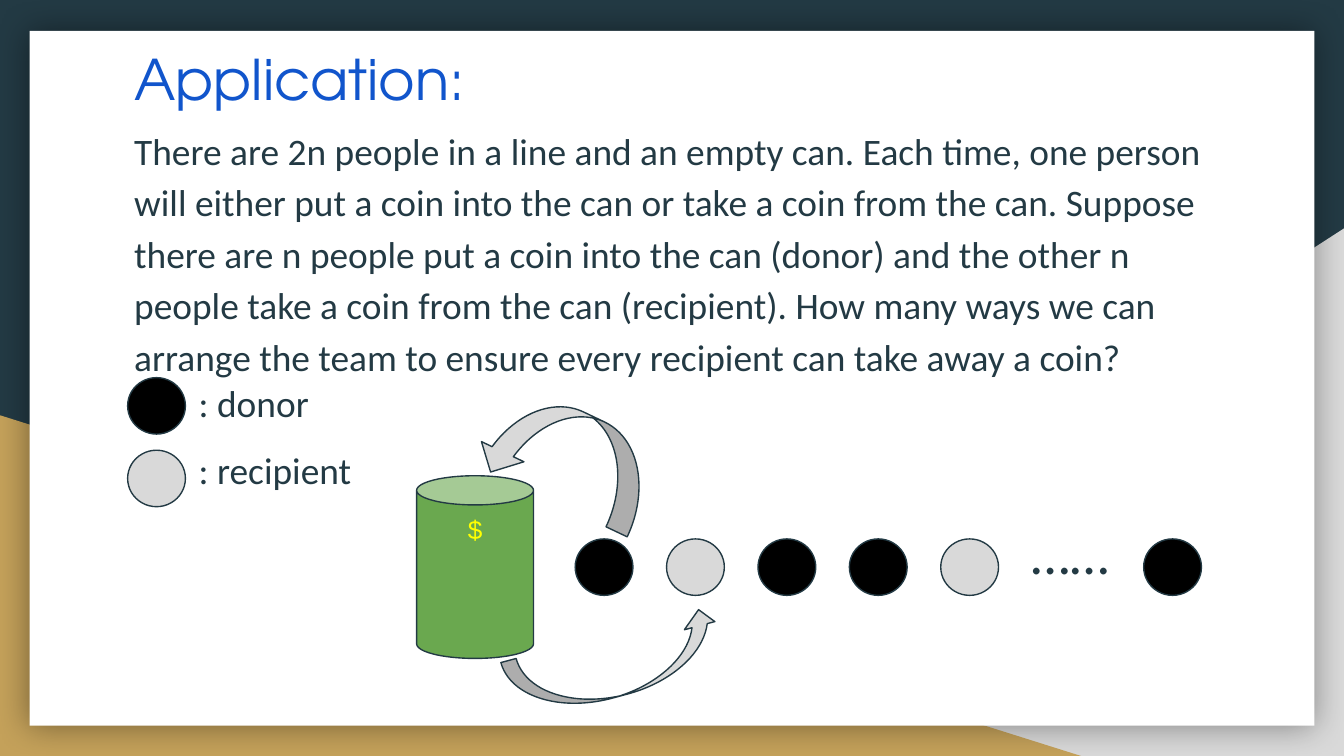
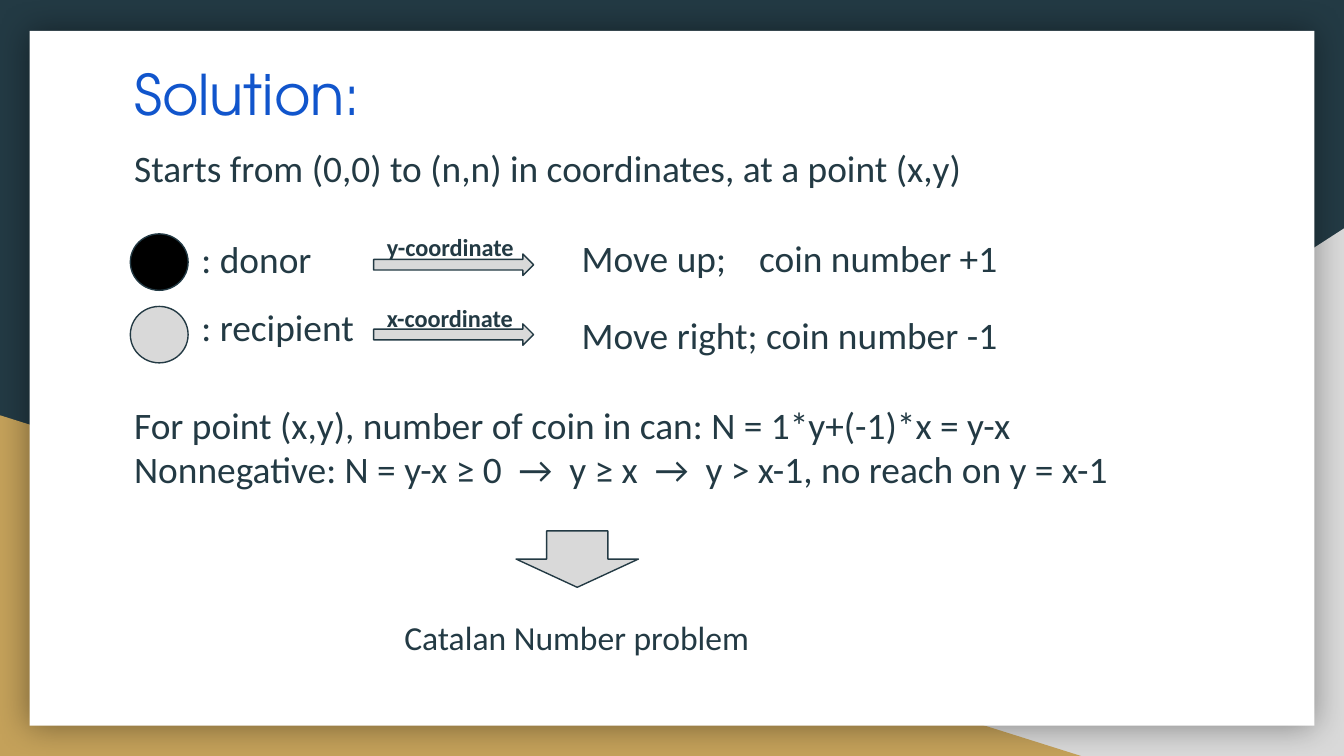
from pptx import Presentation
from pptx.dml.color import RGBColor
from pptx.enum.shapes import MSO_SHAPE as Kind
from pptx.enum.text import MSO_AUTO_SIZE as Fit, PP_ALIGN as Align
from pptx.oxml import parse_xml
from pptx.oxml.ns import nsdecls, qn
from pptx.util import Inches, Pt

INK = "233A44"
GREY = "D9D9D9"
GOLD = "C4A15A"
WHITE = "FFFFFF"
BLACK = "000000"
BLUE = "1155CC"
GREEN = "6AA84F"
YELLOW = "FFFF00"
HEAD = "TeX Gyre Adventor"
BODY = "Calibri"


def color(code):
    return RGBColor.from_string(code)


def write(frame, text, size=20, font=BODY, ink=INK, bold=False, align=None,
          space=None, after=None, edge=None, tab=None):
    for i, line in enumerate(text.split("\n")):
        para = frame.paragraphs[0] if i == 0 else frame.add_paragraph()
        para.alignment = align
        para.line_spacing = space
        if after:
            para.space_after = Pt(after)
        if tab:
            para._p.get_or_add_pPr().append(parse_xml(
                f'<a:tabLst {nsdecls("a")}>'
                f'<a:tab pos="{Inches(tab)}" algn="l"/></a:tabLst>'))
        run = para.add_run()
        run.text = line
        run.font.size = Pt(size)
        run.font.name = font
        run.font.bold = bold
        run.font.color.rgb = color(ink)
        if edge:
            run._r.get_or_add_rPr().insert(0, parse_xml(
                f'<a:ln {nsdecls("a")} w="{Pt(0.75)}"><a:solidFill>'
                f'<a:srgbClr val="{edge}"/></a:solidFill></a:ln>'))


class Deck:
    def __init__(self):
        self.prs = Presentation()
        self.prs.slide_width = Inches(10)
        self.prs.slide_height = Inches(5.625)
        self.slide = None

    def page(self, title, top, high):
        self.slide = self.prs.slides.add_slide(self.prs.slide_layouts[6])
        fill = self.slide.background.fill
        fill.solid()
        fill.fore_color.rgb = color(INK)
        self.shape(Kind.RIGHT_TRIANGLE, 3.92, 1.7, 6.08, 3.93, line=None, flip=True)
        self.shape(Kind.RIGHT_TRIANGLE, 0, 3.09, 8.06, 2.54, GOLD, line=None)
        card = self.shape(Kind.RECTANGLE, 0.22, 0.23, 9.56, 5.17, WHITE, line=None)
        card.element.spPr.find(qn("a:effectLst")).append(parse_xml(
            f'<a:outerShdw {nsdecls("a")} blurRad="{Pt(18)}" dist="0" dir="0" '
            f'algn="ctr" rotWithShape="0"><a:srgbClr val="{BLACK}">'
            '<a:alpha val="40000"/></a:srgbClr></a:outerShdw>'))
        self.text(title, 0.9, top, 8.21, high, size=30, font=HEAD, ink=BLUE)

    def shape(self, kind, x, y, w, h, fill=GREY, line=INK, turn=0, flip=False):
        item = self.slide.shapes.add_shape(
            kind, Inches(x), Inches(y), Inches(w), Inches(h))
        item.fill.solid()
        item.fill.fore_color.rgb = color(fill)
        if line:
            item.line.color.rgb = color(line)
            item.line.width = Pt(0.75)
        else:
            item.line.fill.background()
        item.shadow.inherit = False
        item.rotation = turn
        if flip:
            item.element.spPr.find(qn("a:xfrm")).set("flipH", "1")
        return item

    def text(self, text, x, y, w, h, pad=0.1, grow=False, **style):
        frame = self.slide.shapes.add_textbox(
            Inches(x), Inches(y), Inches(w), Inches(h)).text_frame
        frame.word_wrap = True
        frame.auto_size = Fit.SHAPE_TO_FIT_TEXT if grow else Fit.NONE
        frame.margin_left = frame.margin_right = Inches(pad)
        frame.margin_top = frame.margin_bottom = Inches(pad)
        write(frame, text, **style)

    def dot(self, x, y, fill):
        self.shape(Kind.OVAL, x, y, 0.43, 0.42, fill)

    def legend(self, x, y):
        for i, (name, fill) in enumerate([("donor", BLACK), ("recipient", GREY)]):
            self.dot(x, y + 0.54 * i, fill)
            self.text(f": {name}", x + 0.43, y - 0.08 + 0.5 * i, 1.38, 0.5)


def apply(deck):
    deck.page("Application:", 0.23, 1.04)
    deck.text(
        "There are 2n people in a line and an empty can. Each time, one person "
        "will either put a coin into the can or take a coin from the can. "
        "Suppose there are n people put a coin into the can (donor) and the "
        "other n people take a coin from the can (recipient). How many ways we "
        "can arrange the team to ensure every recipient can take away a coin?",
        0.9, 0.8, 8.21, 2.01, space=1.15, after=12)
    for i, fill in enumerate([BLACK, GREY, BLACK, BLACK, GREY]):
        deck.dot(4.28 + 0.68 * i, 4.01, fill)
    deck.text("……", 7.58, 3.76, 1.36, 0.5, size=30)
    deck.dot(8.51, 4.01, BLACK)
    deck.shape(Kind.CAN, 3.1, 3.54, 0.87, 1.36, GREEN)
    deck.text("$", 3.32, 3.77, 0.43, 1.04, pad=0.05, size=14, font="Arial",
              ink=YELLOW, align=Align.CENTER, edge=INK)
    deck.shape(Kind.CURVED_UP_ARROW, 3.76, 4.71, 1.64, 0.47, turn=345)
    deck.shape(Kind.CURVED_DOWN_ARROW, 3.58, 3.05, 1.3, 0.7, turn=25.4, flip=True)
    deck.legend(0.95, 2.81)


def solve(deck):
    deck.page("Solution:", 0.34, 0.7)
    deck.text("Starts from (0,0) to (n,n) in coordinates, at a point (x,y)",
              0.9, 0.98, 6.74, 0.54, grow=True)
    deck.legend(0.97, 1.74)
    moves = [("y", "Move up;\tcoin number +1", 3.73, 1.32),
             ("x", "Move right; coin number -1", 3.4, None)]
    for i, (axis, move, wide, tab) in enumerate(moves):
        deck.shape(Kind.RIGHT_ARROW, 2.78, 1.89 + 0.52 * i, 1.19, 0.16)
        deck.text(f"{axis}-coordinate", 2.78, 1.63 + 0.53 * i, 1.19, 0.42,
                  grow=True, size=13, bold=True)
        deck.text(move, 4.23, 1.65 + 0.57 * i, wide, 0.54, grow=True, tab=tab)
    deck.text("For point (x,y), number of coin in can: N = 1*y+(-1)*x = y-x\n"
              "Nonnegative: N = y-x ≥ 0  →  y ≥ x  →  y > x-1, no reach on y = x-1",
              0.9, 2.89, 7.54, 0.86)
    deck.shape(Kind.DOWN_ARROW, 3.84, 3.95, 0.91, 0.42)
    deck.text("Catalan Number problem", 2.91, 4.49, 2.77, 0.5, grow=True, size=18)


def main():
    deck = Deck()
    apply(deck)
    solve(deck)
    deck.prs.save("out.pptx")


if __name__ == "__main__":
    main()
